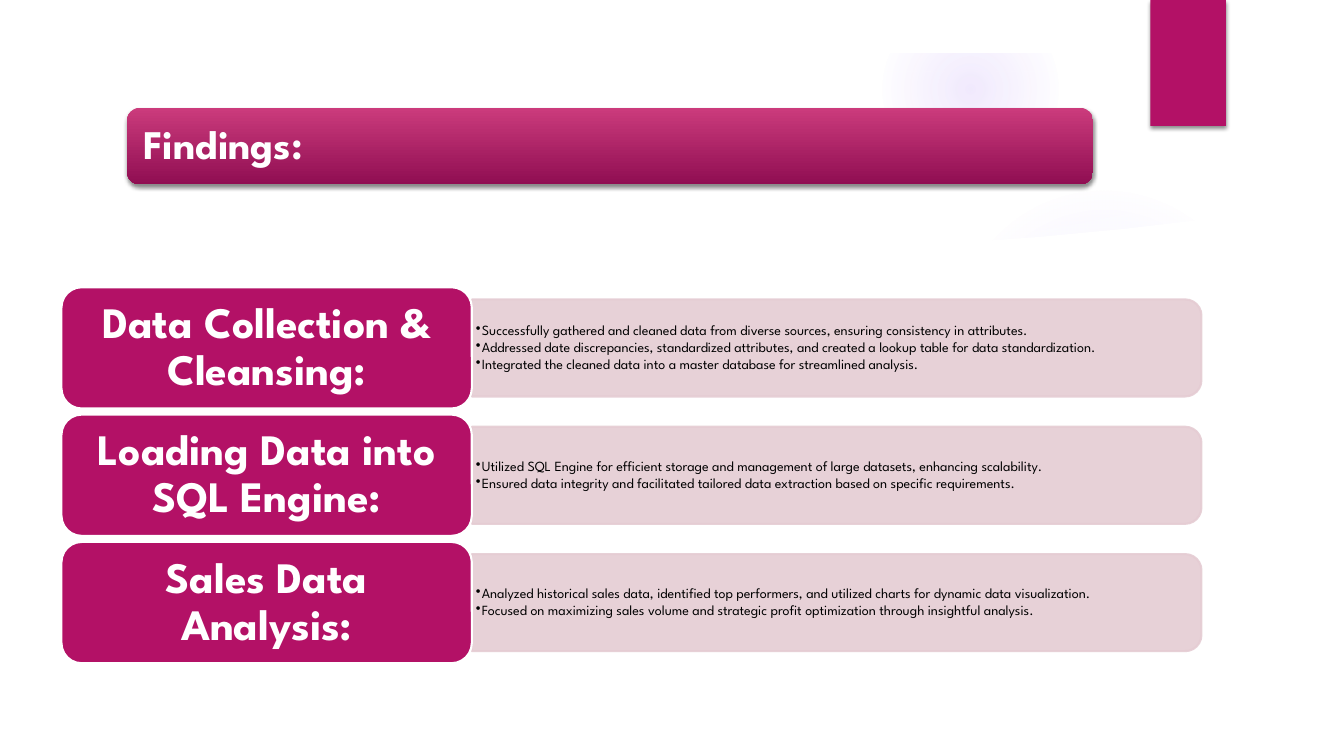
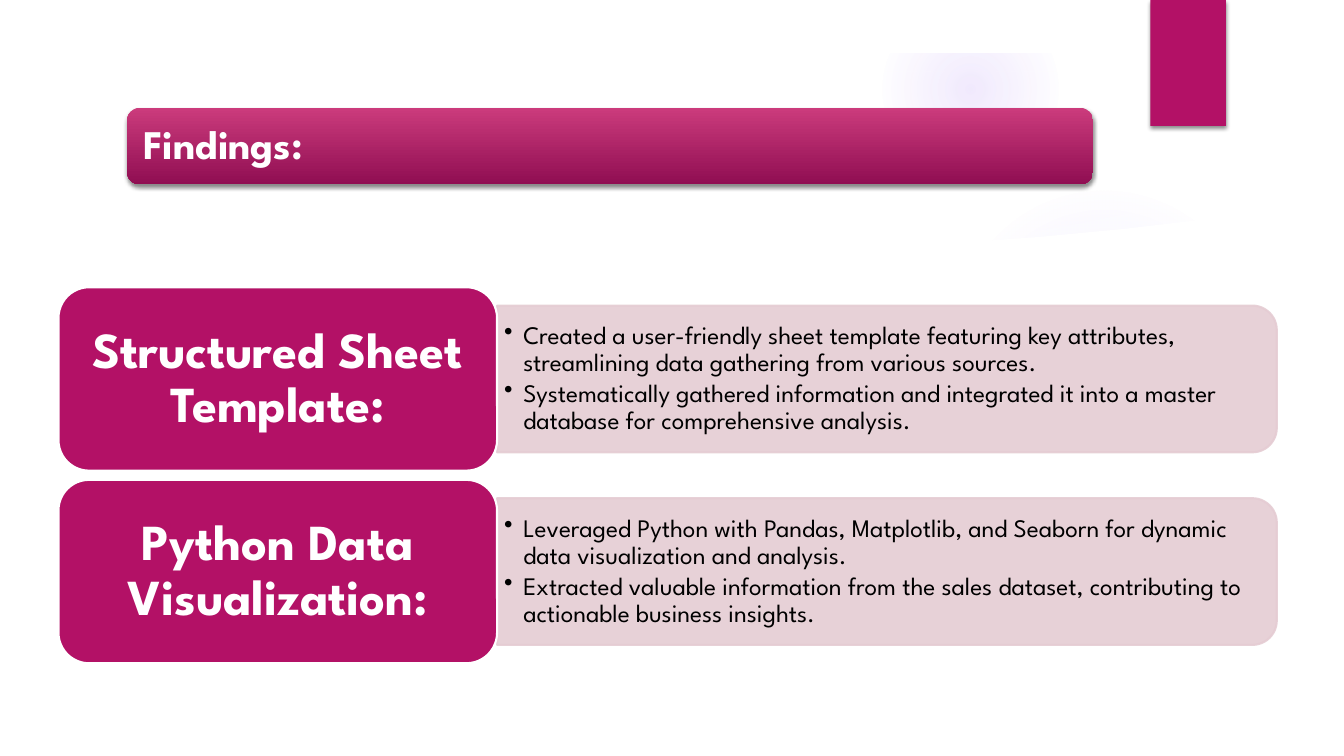
"""Build two findings slides with labelled rows of bullet points."""
import pptx
import pptx.dml.color
import pptx.enum.dml
import pptx.enum.shapes
import pptx.enum.text
import pptx.oxml
import pptx.oxml.ns
import pptx.util

Inches = pptx.util.Inches
Pt = pptx.util.Pt
MSO_SHAPE = pptx.enum.shapes.MSO_SHAPE
PP_ALIGN = pptx.enum.text.PP_ALIGN
RGB = pptx.dml.color.RGBColor.from_string
qn = pptx.oxml.ns.qn
NS = pptx.oxml.ns.nsdecls("a")

FONT = "League Spartan"
COLORS = {
    "magenta": "B31166",
    "bar_top": "CB3B7C",
    "bar_bottom": "900E52",
    "pink": "E5CCD3",
    "glow": "9B6BF2",
    "white": "FFFFFF",
    "black": "000000",
}
SHADOW = (
    f'<a:effectLst {NS}><a:outerShdw blurRad="38100" dist="25400" dir="5400000" rotWithShape="0">'
    f'<a:srgbClr val="{COLORS["black"]}"><a:alpha val="45000"/></a:srgbClr></a:outerShdw></a:effectLst>'
)
GLOWS = [
    (9.41, 1.83, 3.08, [(0, 7), (36, 6), (69, 0)]),
    (8.75, 0.01, 1.75, [(0, 14), (36, 7), (73, 0)]),
]
SWOOSH = [(9.34, 2.5), (11.1, 2.39), (12.89, 2.14), (12.83, 1.66), (12.25, 1.85),
          (11.67, 2), (11.09, 2.14), (10.53, 2.25), (9.99, 2.34), (9.3, 2.43)]
PANEL = [(0.5, 2.04), (0.5, 7), (12.84, 7), (12.84, 2.04), (12, 2.17), (11.16, 2.27),
         (10.32, 2.35), (9.49, 2.41), (8.4, 2.46), (7.08, 2.48), (5.83, 2.46),
         (4.44, 2.41), (3.21, 2.33), (2.16, 2.24), (1.35, 2.15)]

SLIDES = [
    {
        "left": 0.61, "label_width": 4.07, "label_size": 31, "label_inset": (0.13, 0.06),
        "size": 10, "indent": 0.06, "inset": (0.04, 0.02),
        "rows": [
            ("Data Collection & Cleansing:", [
                "Successfully gathered and cleaned data from diverse sources, ensuring consistency in attributes.",
                "Addressed date discrepancies, standardized attributes, and created a lookup table for data standardization.",
                "Integrated the cleaned data into a master database for streamlined analysis."]),
            ("Loading Data into SQL Engine:", [
                "Utilized SQL Engine for efficient storage and management of large datasets, enhancing scalability.",
                "Ensured data integrity and facilitated tailored data extraction based on specific requirements."]),
            ("Sales Data Analysis:", [
                "Analyzed historical sales data, identified top performers, and utilized charts for dynamic data visualization.",
                "Focused on maximizing sales volume and strategic profit optimization through insightful analysis."]),
        ],
    },
    {
        "left": 0.58, "label_width": 4.35, "label_size": 36, "label_inset": (0.15, 0.07),
        "size": 18, "indent": 0.19, "inset": (0.07, 0.04),
        "rows": [
            ("Structured Sheet Template:", [
                "Created a user-friendly sheet template featuring key attributes, streamlining data gathering from various sources.",
                "Systematically gathered information and integrated it into a master database for comprehensive analysis."]),
            ("Python Data Visualization:", [
                "Leveraged Python with Pandas, Matplotlib, and Seaborn for dynamic data visualization and analysis.",
                "Extracted valuable information from the sales dataset, contributing to actionable business insights."]),
        ],
    },
]
ROWS_TOP, ROWS_HEIGHT = 2.85, 3.73


def style(sp, fill, line=None, alpha=None):
    """Give a shape a solid fill, an optional line and an optional opacity in percent."""
    sp.shadow.inherit = False
    sp.fill.solid()
    sp.fill.fore_color.rgb = RGB(COLORS[fill])
    if line:
        sp.line.color.rgb = RGB(COLORS[line])
        sp.line.width = Pt(1.5)
    else:
        sp.line.fill.background()
    if alpha:
        for clr in sp.element.spPr.iter(qn("a:srgbClr")):
            clr.append(pptx.oxml.parse_xml(f'<a:alpha {NS} val="{alpha * 1000}"/>'))


def add_text(tf, text, size, color="white", bold=False, align=PP_ALIGN.LEFT,
             inset=(0.1, 0.05), indent=None, after=0):
    """Add one formatted paragraph to a text frame."""
    tf.word_wrap = True
    tf.auto_size = pptx.enum.text.MSO_AUTO_SIZE.NONE
    tf.vertical_anchor = pptx.enum.text.MSO_ANCHOR.MIDDLE
    tf.margin_left = tf.margin_right = Inches(inset[0])
    tf.margin_top = tf.margin_bottom = Inches(inset[1])
    p = tf.add_paragraph() if tf.text else tf.paragraphs[0]
    if indent:
        pPr = p._p.get_or_add_pPr()
        pPr.set("marL", str(Inches(indent)))
        pPr.set("indent", str(-Inches(indent)))
        pPr.append(pptx.oxml.parse_xml(f'<a:buChar {NS} char="•"/>'))
    p.alignment = align
    p.line_spacing = 0.9
    p.space_after = Pt(after)
    r = p.add_run()
    r.text = text
    r.font.name = FONT
    r.font.size = Pt(size)
    r.font.bold = bold
    r.font.color.rgb = RGB(COLORS[color])


prs = pptx.Presentation()
prs.slide_width = Inches(13.33)
prs.slide_height = Inches(7.5)
layout = prs.slide_layouts[5]
slides = [prs.slides.add_slide(layout) for _ in SLIDES]

shapes = slides[0].shapes
decor = []
for x, y, size, stops in GLOWS:
    sp = shapes.add_shape(MSO_SHAPE.OVAL, Inches(x), Inches(y), Inches(size), Inches(size))
    style(sp, "glow")
    gs = "".join(
        f'<a:gs pos="{pos * 1000}"><a:srgbClr val="{COLORS["glow"]}">'
        f'<a:alpha val="{alpha * 1000}"/></a:srgbClr></a:gs>' for pos, alpha in stops)
    solid = sp.element.spPr.find(qn("a:solidFill"))
    sp.element.spPr.replace(solid, pptx.oxml.parse_xml(
        f'<a:gradFill {NS}><a:gsLst>{gs}</a:gsLst><a:path path="circle">'
        '<a:fillToRect l="50000" t="50000" r="50000" b="50000"/></a:path></a:gradFill>'))
    decor.append(sp)

for outline, alpha in [(SWOOSH, 20), (PANEL, None)]:
    points = [(Inches(x), Inches(y)) for x, y in outline]
    builder = shapes.build_freeform(*points[0])
    builder.add_line_segments(points[1:], close=True)
    sp = builder.convert_to_shape()
    style(sp, "white", alpha=alpha)
    decor.append(sp)

frame = shapes.add_shape(MSO_SHAPE.FRAME, 0, 0, prs.slide_width, prs.slide_height)
frame.adjustments[0] = 0.07
style(frame, "white")

ribbon = shapes.add_shape(MSO_SHAPE.RECTANGLE, Inches(11.41), 0, Inches(0.75), Inches(1.25))
style(ribbon, "magenta")

title_bar = shapes.add_shape(
    MSO_SHAPE.ROUNDED_RECTANGLE, Inches(1.26), Inches(1.07), Inches(9.58), Inches(0.76))
style(title_bar, "magenta")
title_bar.fill.gradient()
title_bar.fill.gradient_angle = 270
for stop, name in zip(title_bar.fill.gradient_stops, ["bar_top", "bar_bottom"]):
    stop.color.rgb = RGB(COLORS[name])

for sp in (ribbon, title_bar):
    spPr = sp.element.spPr
    spPr.replace(spPr.find(qn("a:effectLst")), pptx.oxml.parse_xml(SHADOW))

for number, sp in enumerate(decor + [frame, ribbon, title_bar], 101):
    sp.element.nvSpPr.cNvPr.set("id", str(number))
    layout.shapes.element.append(sp.element)

for s, data in zip(slides, SLIDES):
    title = s.shapes.title
    title.left, title.top = Inches(1.3), Inches(1.11)
    title.width, title.height = Inches(9.51), Inches(0.69)
    add_text(title.text_frame, "Findings:", 29, bold=True, inset=(0.12, 0.12))

    rows = data["rows"]
    label_w = data["label_width"]
    label_h = ROWS_HEIGHT / (1.05 * len(rows) - 0.05)
    bar_w, bar_h = label_w * 16 / 9, label_h * 0.8
    bar_left = data["left"] + label_w
    for i, (label, bullets) in enumerate(rows):
        top = ROWS_TOP + i * label_h * 1.05
        middle = top + label_h / 2

        bar = s.shapes.add_shape(
            MSO_SHAPE.ROUND_2_SAME_RECTANGLE,
            Inches(bar_left + (bar_w - bar_h) / 2), Inches(middle - bar_w / 2),
            Inches(bar_h), Inches(bar_w))
        bar.rotation = 90
        style(bar, "pink", line="pink", alpha=90)

        box = s.shapes.add_textbox(
            Inches(bar_left), Inches(middle - bar_h * 0.45),
            Inches(bar_w - bar_h * 0.05), Inches(bar_h * 0.9))
        for text in bullets:
            add_text(box.text_frame, text, data["size"], color="black", inset=data["inset"],
                     indent=data["indent"], after=data["size"] * 0.15)

        sp = s.shapes.add_shape(
            MSO_SHAPE.ROUNDED_RECTANGLE,
            Inches(data["left"]), Inches(top), Inches(label_w), Inches(label_h))
        style(sp, "magenta", line="white")
        add_text(sp.text_frame, label, data["label_size"], bold=True,
                 align=PP_ALIGN.CENTER, inset=data["label_inset"])

prs.save("out.pptx")
